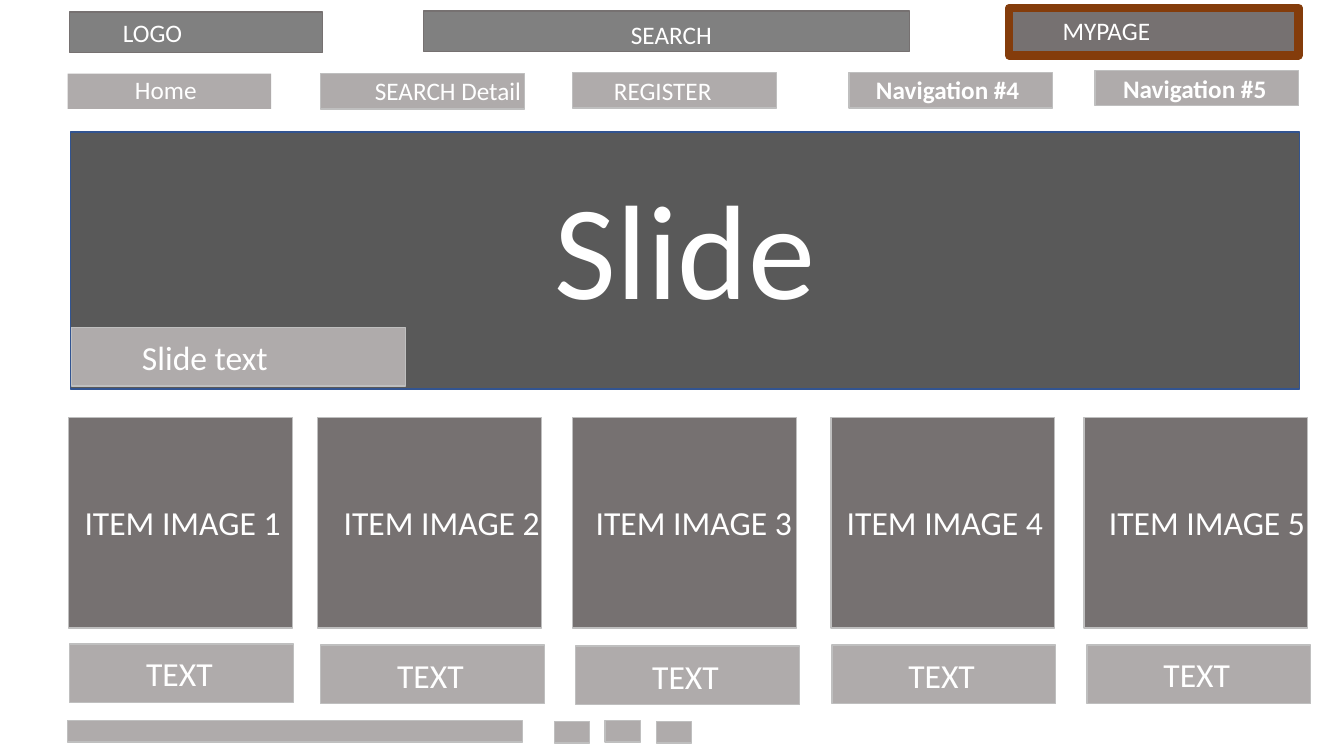
"""Build a wireframe slide of a shop home page."""
from dataclasses import dataclass
from typing import Optional

from pptx import Presentation
from pptx.dml.color import RGBColor
from pptx.enum.shapes import MSO_SHAPE as Preset
from pptx.enum.text import MSO_ANCHOR as Anchor, MSO_AUTO_SIZE as AutoSize, PP_ALIGN as Align
from pptx.util import Inches, Pt

COLORS = {
    "white": "FFFFFF", "header": "808080", "dark": "767171", "light": "AFABAB",
    "edge": "BFBFBF", "banner": "595959", "banner_edge": "325491", "accent": "843C0B",
}
FONT = "Calibri"


@dataclass
class Label:
    text: str
    left: float
    top: float
    width: float
    height: float = 0.4
    size: int = 18
    bold: bool = False
    wrap: bool = True


@dataclass
class Block:
    left: float
    top: float
    width: float
    height: float
    fill: str = "light"
    edge: Optional[str] = "edge"
    edge_width: float = 1
    label: Optional[Label] = None


def rgb(name: str) -> RGBColor:
    return RGBColor.from_string(COLORS[name])


def write(frame, text: str, *, size: int, bold: bool = False, align: Align = Align.LEFT) -> None:
    paragraph = frame.paragraphs[0]
    paragraph.alignment = align
    run = paragraph.add_run()
    run.text = text
    run.font.name = FONT
    run.font.size = Pt(size)
    run.font.bold = bold
    run.font.color.rgb = rgb("white")


def draw_label(label: Label) -> None:
    area = (label.left, label.top, label.width, label.height)
    frame = slide.shapes.add_textbox(*map(Inches, area)).text_frame
    frame.word_wrap = label.wrap
    frame.auto_size = AutoSize.SHAPE_TO_FIT_TEXT
    write(frame, label.text, size=label.size, bold=label.bold)


def draw_block(block: Block):
    area = (block.left, block.top, block.width, block.height)
    shape = slide.shapes.add_shape(Preset.RECTANGLE, *map(Inches, area))
    shape.shadow.inherit = False
    shape.fill.solid()
    shape.fill.fore_color.rgb = rgb(block.fill)
    if block.edge:
        shape.line.color.rgb = rgb(block.edge)
        shape.line.width = Pt(block.edge_width)
    else:
        shape.line.fill.background()
    if block.label:
        draw_label(block.label)
    return shape


def nav_block(left: float, top: float, label: Label, edge: Optional[str] = "edge") -> Block:
    return Block(left, top, 2.02, 0.35, edge=edge, label=label)


def item_block(number: int, left: float, text_left: float) -> Block:
    label = Label(f"ITEM IMAGE {number}", text_left, 4.93, 2.26, 0.5, size=24)
    return Block(left, 4.14, 2.22, 2.09, "dark", label=label)


def caption_block(left: float, top: float, text_top: float) -> Block:
    label = Label("TEXT", left + 0.66, text_top, 1.62, 0.5, size=24)
    return Block(left, top, 2.22, 0.58, label=label)


deck = Presentation()
deck.slide_width, deck.slide_height = Inches(13.33), Inches(7.5)
slide = deck.slides.add_slide(deck.slide_layouts[6])

header = [
    Block(0.69, 0.12, 2.51, 0.4, "header", "dark", label=Label("LOGO", 1.12, 0.12, 2.66)),
    Block(4.2, 0.11, 4.82, 0.4, "header", "dark", label=Label("SEARCH", 6.16, 0.14, 2.66)),
    Block(10.01, 0.08, 2.87, 0.47, "dark", "accent", 6, Label("MYPAGE", 10.44, 0.1, 1.66)),
]
navigation = [
    nav_block(0.67, 0.73, Label("Home", 1.24, 0.69, 0.82, wrap=False), edge=None),
    nav_block(3.18, 0.73, Label("SEARCH Detail", 3.62, 0.7, 1.67, wrap=False)),
    nav_block(5.68, 0.72, Label("REGISTER", 5.99, 0.7, 1.18, wrap=False)),
    nav_block(8.42, 0.72, Label("Navigation #4", 8.59, 0.69, 1.64, bold=True, wrap=False)),
    nav_block(10.86, 0.7, Label("Navigation #5", 11.04, 0.68, 1.64, bold=True, wrap=False)),
]
for block in header + navigation:
    draw_block(block)

banner = draw_block(Block(0.7, 1.31, 12.19, 2.55, "banner", "banner_edge")).text_frame
banner.word_wrap = True
banner.vertical_anchor = Anchor.MIDDLE
banner.margin_bottom = Inches(0.35)
write(banner, "Slide", size=96, align=Align.CENTER)
draw_block(Block(0.71, 3.25, 3.31, 0.58, label=Label("Slide text", 1.31, 3.29, 2.63, 0.5, size=24)))

item_lefts = [(0.68, 0.74), (3.15, 3.31), (5.68, 5.81), (8.24, 8.3), (10.75, 10.9)]
items = [item_block(number, *lefts) for number, lefts in enumerate(item_lefts, 1)]
caption_places = [(0.69, 6.39, 6.43), (3.18, 6.4, 6.45), (5.71, 6.41, 6.46),
                  (8.25, 6.4, 6.45), (10.78, 6.4, 6.44)]
captions = [caption_block(*place) for place in caption_places]
footer_places = [(0.67, 7.15, 4.51), (5.5, 7.16, 0.35), (6, 7.15, 0.35), (6.51, 7.16, 0.35)]
footer = [Block(*place, 0.21) for place in footer_places]
for block in items + captions + footer:
    draw_block(block)

deck.save("out.pptx")
